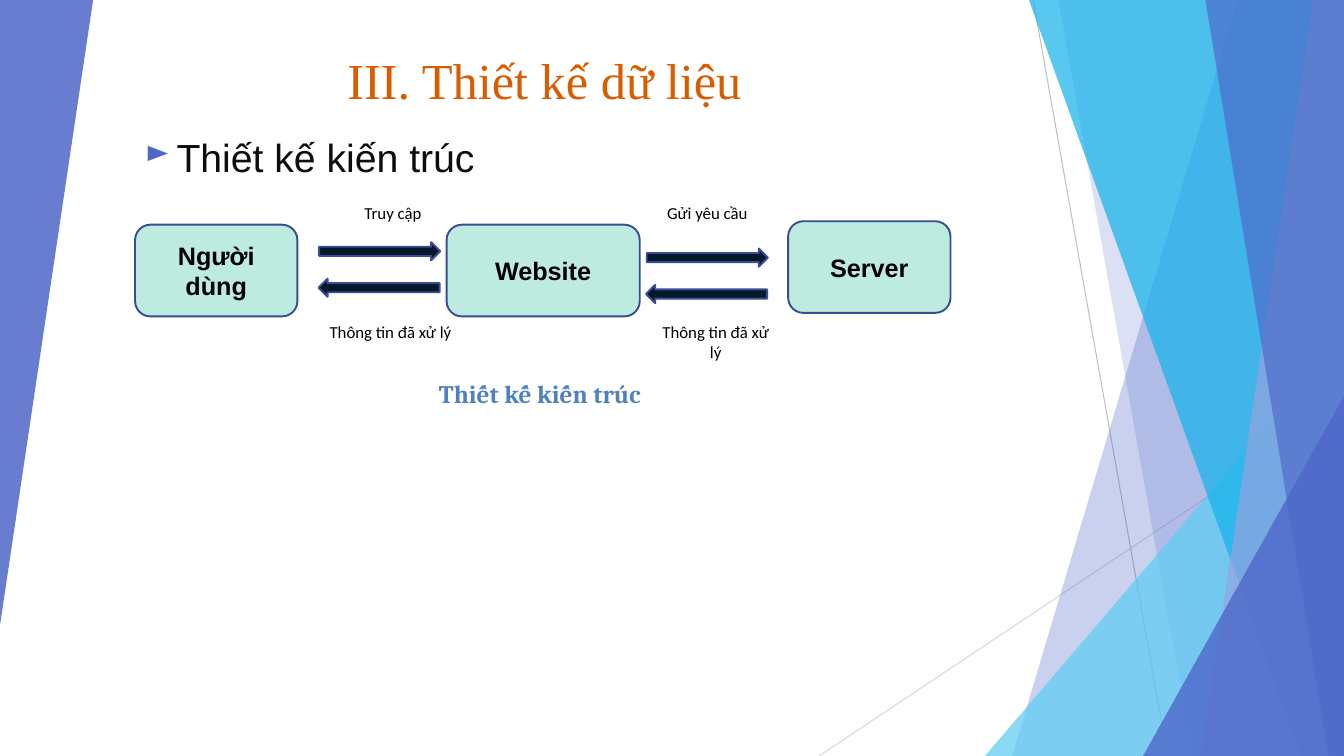
from dataclasses import dataclass

from lxml import etree
from pptx import Presentation
from pptx.dml.color import RGBColor
from pptx.enum import shapes, text
from pptx.oxml import ns
from pptx.util import Pt


@dataclass(frozen=True)
class Theme:
    indigo: str = "4E67C8"
    lavender: str = "95A4DE"
    sky: str = "5ECCF3"
    cyan: str = "12B2EB"
    gray: str = "BFBFBF"
    pale_gray: str = "D9D9D9"
    mint: str = "BEEBDF"
    navy: str = "031828"
    outline: str = "3A4C94"
    title: str = "D85C00"
    body: str = "0D0D0D"
    black: str = "000000"
    caption: str = "4F81BD"
    title_size: float = 36
    heading_size: float = 28
    node_size: float = 18
    label_size: float = 12
    outline_width: float = 1.35
    ray_width: float = 0.75


THEME = Theme()
WIDTH, HEIGHT = 960, 540
MSO = shapes.MSO_SHAPE
ALIGN = text.PP_ALIGN


def add_xml(parent, tag, **attributes):
    return etree.SubElement(parent, ns.qn(tag), attributes)


def paint(shape, color, opacity=100, outline=None):
    """Set fill, opacity in percent and outline."""
    shape.shadow.inherit = False
    shape.fill.solid()
    shape.fill.fore_color.rgb = RGBColor.from_string(color)
    if opacity < 100:
        tint = shape.fill._xPr.find(".//" + ns.qn("a:srgbClr"))
        add_xml(tint, "a:alpha", val=str(opacity * 1000))
    if outline:
        shape.line.color.rgb = RGBColor.from_string(outline)
        shape.line.width = Pt(THEME.outline_width)
    else:
        shape.line.fill.background()


def add_ray(slide, start, end, color):
    ray = slide.shapes.add_connector(
        shapes.MSO_CONNECTOR.STRAIGHT, *map(Pt, start + end))
    ray.line.color.rgb = RGBColor.from_string(color)
    ray.line.width = Pt(THEME.ray_width)
    add_xml(ray._element.spPr, "a:effectLst")


def add_band(slide, top_x, bottom_x, color, opacity):
    """Band from a slanted left edge to the right edge of the slide."""
    outline = slide.shapes.build_freeform(Pt(top_x), 0)
    outline.add_line_segments(
        [(Pt(x), Pt(y)) for x, y in
         ((WIDTH, 0), (WIDTH, HEIGHT), (bottom_x, HEIGHT))])
    paint(outline.convert_to_shape(), color, opacity)


def add_wedge(slide, box, color, opacity, rotation=0):
    wedge = slide.shapes.add_shape(MSO.ISOSCELES_TRIANGLE, *map(Pt, box))
    wedge.adjustments[0] = 1
    wedge.rotation = rotation
    paint(wedge, color, opacity)


def write(frame, words, font, size, color, align, bold=False):
    paragraph = frame.paragraphs[0]
    paragraph.alignment = align
    run = paragraph.add_run()
    run.text = words
    run.font.name = font
    run.font.size = Pt(size)
    run.font.bold = bold
    run.font.color.rgb = RGBColor.from_string(color)
    return paragraph


def add_text(slide, box, words, font, size, color, align=ALIGN.CENTER,
             bold=False, anchor=text.MSO_ANCHOR.TOP, wrap=True):
    frame = slide.shapes.add_textbox(*map(Pt, box)).text_frame
    frame.word_wrap = wrap
    frame.vertical_anchor = anchor
    return write(frame, words, font, size, color, align, bold)


def add_bullet(paragraph, color):
    paragraph.space_before = Pt(10)
    properties = paragraph._p.get_or_add_pPr()
    indent = Pt(22.5)
    properties.set("marL", str(indent))
    properties.set("indent", str(-indent))
    add_xml(add_xml(properties, "a:buClr"), "a:srgbClr", val=color)
    add_xml(properties, "a:buSzPct", val="80000")
    add_xml(properties, "a:buChar", char="►")


def add_node(slide, left, top, width, words):
    node = slide.shapes.add_shape(
        MSO.ROUNDED_RECTANGLE, Pt(left), Pt(top), Pt(width), Pt(65.5))
    paint(node, THEME.mint, outline=THEME.outline)
    node.text_frame.word_wrap = True
    node.text_frame.vertical_anchor = text.MSO_ANCHOR.MIDDLE
    write(node.text_frame, words, "Arial", THEME.node_size, THEME.black,
          ALIGN.CENTER, bold=True)


def add_exchange(slide, left, top):
    """Request arrow above, reply arrow below."""
    for kind, x, y in ((MSO.RIGHT_ARROW, left, top),
                       (MSO.LEFT_ARROW, left - 0.5, top + 26)):
        arrow = slide.shapes.add_shape(kind, Pt(x), Pt(y), Pt(86.5), Pt(13))
        paint(arrow, THEME.navy, outline=THEME.outline)


def add_label(slide, left, top, width, words):
    add_text(slide, (left, top, width, 40), words, "Calibri",
             THEME.label_size, THEME.black)


def add_backdrop(slide):
    add_ray(slide, (738, 0), (834, HEIGHT), THEME.gray)
    add_ray(slide, (WIDTH, 290), (585, HEIGHT), THEME.pale_gray)
    add_band(slide, 884, 723, THEME.indigo, 30)
    add_band(slide, 756, 852, THEME.indigo, 20)
    add_wedge(slide, (703.5, 240, 256.5, 300), THEME.sky, 72)
    add_band(slide, 735, 929.5, THEME.cyan, 70)
    add_band(slide, 938, 858, THEME.lavender, 70)
    add_band(slide, 861, 949, THEME.indigo, 65)
    add_wedge(slide, (816.5, 283, 143.5, 257), THEME.indigo, 80)
    add_wedge(slide, (0, 0, 66.5, 446.5), THEME.indigo, 85, rotation=180)


def add_architecture(slide):
    # Nodes
    add_node(slide, 96.5, 160.5, 116, "Người dùng")
    add_node(slide, 319, 160.5, 138, "Website")
    add_node(slide, 563, 158, 116, "Server")
    # Exchanges between neighbours
    add_exchange(slide, 228, 173)
    add_exchange(slide, 462, 177.5)
    # Labels
    add_label(slide, 237.5, 141, 86.5, "Truy cập")
    add_label(slide, 462, 141, 86.5, "Gửi yêu cầu")
    for left, width in ((462, 98.5), (228, 102)):
        add_label(slide, left, 226, width, "Thông tin đã xử lý")
    # Caption
    caption = add_text(slide, (306.5, 267, 163, 29), "Thiết kế kiến trúc",
                       "Cambria", THEME.node_size, THEME.caption,
                       ALIGN.JUSTIFY, bold=True, wrap=False)
    caption.space_after = Pt(6)


def main():
    deck = Presentation()
    deck.slide_width, deck.slide_height = Pt(WIDTH), Pt(HEIGHT)
    slide = deck.slides.add_slide(deck.slide_layouts[6])
    add_backdrop(slide)
    # Headings
    add_text(slide, (83.5, 17.5, 611, 64.5), "III. Thiết kế dữ liệu",
             "Times New Roman", THEME.title_size, THEME.title,
             anchor=text.MSO_ANCHOR.BOTTOM)
    heading = add_text(slide, (96.5, 92, 611, 41), "Thiết kế kiến trúc",
                       "Arial", THEME.heading_size, THEME.body, ALIGN.LEFT)
    add_bullet(heading, THEME.indigo)
    add_architecture(slide)
    deck.save("out.pptx")


if __name__ == "__main__":
    main()
